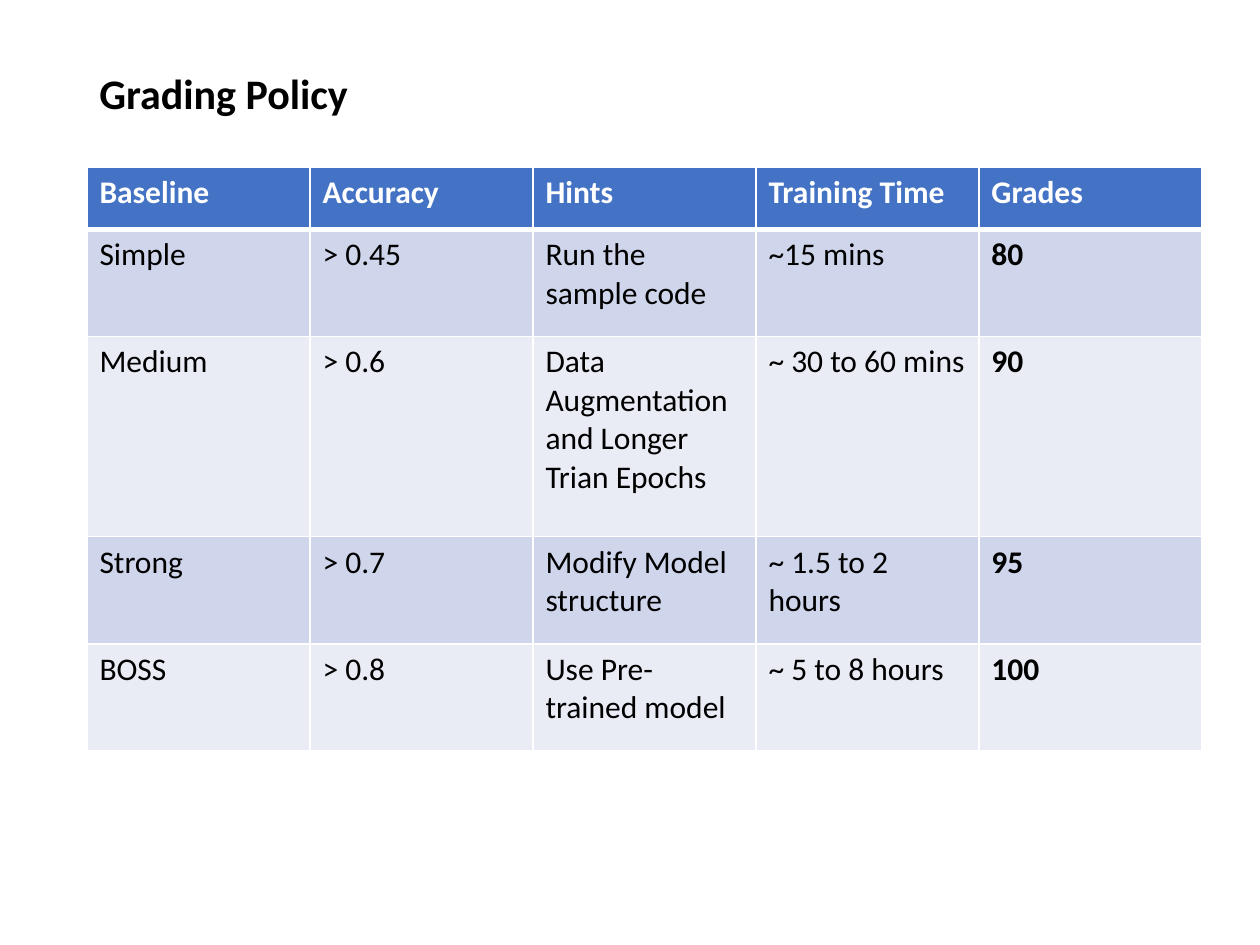
from lxml import etree
from pptx import Presentation
from pptx import util as u
from pptx.dml.color import RGBColor
from pptx.enum import text
from pptx.oxml import ns

BLACK = RGBColor(0x00, 0x00, 0x00)
WHITE = RGBColor(0xFF, 0xFF, 0xFF)
HEADER_BLUE = RGBColor(0x44, 0x72, 0xC4)
BANDS = [RGBColor(0xCF, 0xD5, 0xEA), RGBColor(0xE9, 0xEB, 0xF5)]

POLICY = [
    ["Baseline", "Accuracy", "Hints", "Training Time", "Grades"],
    ["Simple", "> 0.45", "Run the sample code", "~15 mins", "80"],
    ["Medium", "> 0.6", "Data Augmentation and Longer Trian Epochs", "~ 30 to 60 mins", "90"],
    ["Strong", "> 0.7", "Modify Model structure", "~ 1.5 to 2 hours", "95"],
    ["BOSS", "> 0.8", "Use Pre-trained model", "~ 5 to 8 hours", "100"],
]
ROW_HEIGHTS = [0.49, 0.85, 1.59, 0.85, 0.85]
COLUMN_WIDTH = 1.77
MARGIN = u.Inches(0.69)


def write(paragraph, words, **formats):
    run = paragraph.add_run()
    run.text = words
    color = formats.pop("color")
    for key, value in {"name": "Calibri", **formats}.items():
        setattr(run.font, key, value)
    run.font.color.rgb = color


def add_border(cell, side, points):
    edge = etree.SubElement(cell._tc.get_or_add_tcPr(), ns.qn(f"a:ln{side}"), w=str(u.Pt(points)))
    fill = etree.SubElement(edge, ns.qn("a:solidFill"))
    etree.SubElement(fill, ns.qn("a:srgbClr"), val=str(WHITE))


deck = Presentation()
deck.slide_width, deck.slide_height = u.Inches(10), u.Inches(7.5)
slide = deck.slides.add_slide(deck.slide_layouts[6])

heading = slide.shapes.add_textbox(MARGIN, u.Inches(0.4), deck.slide_width - 2 * MARGIN, u.Inches(0.72)).text_frame
heading.word_wrap = True
heading.vertical_anchor = text.MSO_ANCHOR.MIDDLE
heading.paragraphs[0].line_spacing = 0.9
write(heading.paragraphs[0], "Grading Policy", size=u.Pt(24), bold=True, color=BLACK)

grades = slide.shapes.add_table(
    len(POLICY), len(POLICY[0]), MARGIN, u.Inches(1.33),
    u.Inches(COLUMN_WIDTH * len(POLICY[0])), u.Inches(sum(ROW_HEIGHTS)),
).table
for column in grades.columns:
    column.width = u.Inches(COLUMN_WIDTH)

for r, (entries, height) in enumerate(zip(POLICY, ROW_HEIGHTS)):
    grades.rows[r].height = u.Inches(height)
    is_header = r == 0
    for c, entry in enumerate(entries):
        cell = grades.cell(r, c)
        borders = {"L": 1, "R": 1, "T": 3 if r == 1 else 1, "B": 3 if is_header else 1}
        for side, points in borders.items():
            add_border(cell, side, points)
        cell.fill.solid()
        cell.fill.fore_color.rgb = HEADER_BLUE if is_header else BANDS[(r - 1) % 2]
        write(
            cell.text_frame.paragraphs[0], entry, size=u.Pt(18),
            bold=is_header or c == len(entries) - 1,
            color=WHITE if is_header else BLACK,
        )

deck.save("out.pptx")
